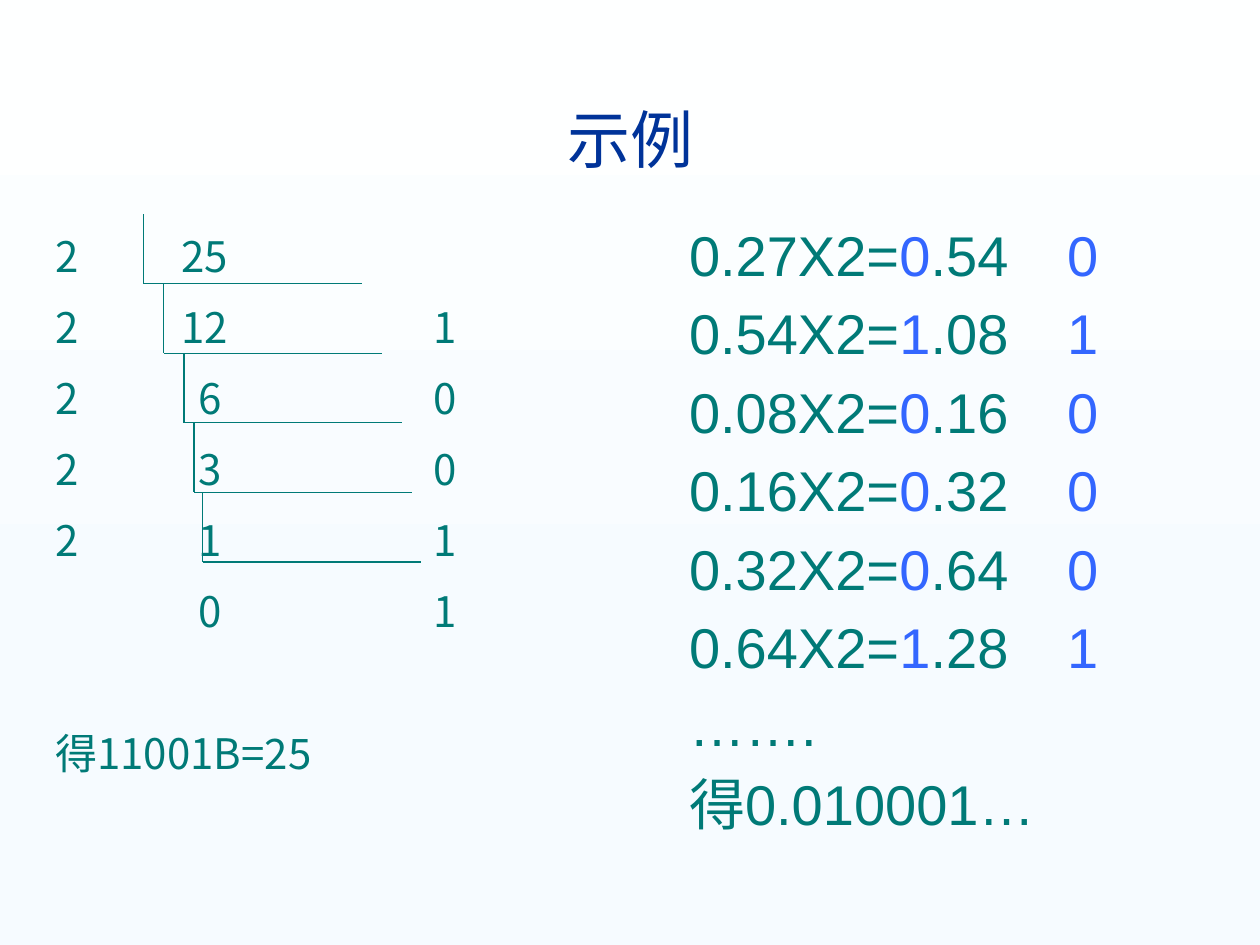
from lxml import etree
from pptx import Presentation
from pptx.dml.color import RGBColor
from pptx.enum import shapes, text
from pptx.oxml import ns
from pptx.util import Inches, Pt

# Content
TITLE = "示例"
DIVISION = [("2", "25"), ("2", "12", "1"), ("2", "6", "0"),
            ("2", "3", "0"), ("2", "1", "1"), ("", "0", "1")]
DIVISION_RESULT = "得11001B=25"
PRODUCTS = [("0.27", "0", ".54"), ("0.54", "1", ".08"), ("0.08", "0", ".16"),
            ("0.16", "0", ".32"), ("0.32", "0", ".64"), ("0.64", "1", ".28")]
PRODUCT_RESULT = ["…….", "得0.010001…"]
BRACKET_LEFTS = [1.14, 1.3, 1.46, 1.54, 1.61]

# Style
CJK, LATIN = "Noto Sans CJK SC", "Arial"
NAVY, TEAL, BLUE = "003399", "007A77", "3366FF"
BACKGROUND = [(0, "FEFFFF"), (74, "F6FBFF"), (83, "F6FBFF"), (100, "F9FDFF")]
BODY_TOP, BODY_WIDTH, BODY_HEIGHT = 1.7, 4.12, 5.12
BRACKET_BOTTOM, BAR_WIDTH = 4.46, 1.73


def color(value):
    return RGBColor.from_string(value)


def set_background(page):
    fill = page.background.fill
    fill.gradient()
    fill.gradient_angle = 270
    stops = page.element.find(".//" + ns.qn("a:gsLst"))
    for old in list(stops):
        stops.remove(old)
    for position, value in BACKGROUND:
        stop = etree.SubElement(stops, ns.qn("a:gs"), pos=str(position * 1000))
        etree.SubElement(stop, ns.qn("a:srgbClr"), val=value)


def add_body(page, left):
    box = page.shapes.add_textbox(Inches(left), Inches(BODY_TOP),
                                  Inches(BODY_WIDTH), Inches(BODY_HEIGHT))
    box.text_frame.word_wrap = True
    return box.text_frame


def add_para(frame, spans, font, size, before=0, spacing=1.0, tabs=()):
    """Add a paragraph of (text, colour) spans, with tab stops in inches."""
    first = frame.paragraphs[0]
    para = frame.add_paragraph() if first.runs else first
    para.line_spacing = spacing
    if para is not first:
        para.space_before = Pt(before)
    if tabs:
        tab_list = etree.SubElement(para._p.get_or_add_pPr(), ns.qn("a:tabLst"))
        for stop in tabs:
            etree.SubElement(tab_list, ns.qn("a:tab"), pos=str(Inches(stop)), algn="l")
    para.font.name, para.font.size = font, Pt(size)
    for words, value in spans:
        span = para.add_run()
        span.text = words
        style(span.font, font, size, value)


def style(font, name, size, value):
    font.name, font.size = name, Pt(size)
    font.color.rgb = color(value)
    etree.SubElement(font._element, ns.qn("a:ea"), typeface=name)


def add_line(page, x1, y1, x2, y2):
    line = page.shapes.add_connector(shapes.MSO_CONNECTOR.STRAIGHT,
                                     *map(Inches, (x1, y1, x2, y2)))
    line.line.color.rgb = color(TEAL)
    line.line.width = Pt(0.75)
    etree.SubElement(line._element.spPr, ns.qn("a:effectLst"))


def main():
    deck = Presentation()
    deck.slide_width, deck.slide_height = Inches(10), Inches(7.5)
    page = deck.slides.add_slide(deck.slide_layouts[5])
    set_background(page)

    # Title
    title = page.shapes.title
    title.left, title.top = Inches(0.33), Inches(0.66)
    title.width, title.height = Inches(9.34), Inches(0.88)
    title.text_frame.vertical_anchor = text.MSO_ANCHOR.MIDDLE
    add_para(title.text_frame, [(TITLE, NAVY)], CJK, 36)
    title.text_frame.paragraphs[0].alignment = text.PP_ALIGN.CENTER

    # Repeated division; single digits sit a little further in
    division = add_body(page, 0.34)
    for row in DIVISION:
        number_tab = 1 if len(row[1]) == 2 else 1.14
        add_para(division, [("\t".join(row), TEAL)], CJK, 24, 6, 1.2, (number_tab, 3))
    add_para(division, [(DIVISION_RESULT, TEAL)], CJK, 24, 46.4, 1.2)

    # Repeated multiplication
    products = add_body(page, 5.37)
    for factor, digit, fraction in PRODUCTS:
        spans = [(factor + "X2=", TEAL), (digit, BLUE), (fraction + "\t", TEAL), (digit, BLUE)]
        add_para(products, spans, LATIN, 32, 6.4, tabs=(3,))
    for words in PRODUCT_RESULT:
        add_para(products, [(words, TEAL)], LATIN, 32, 6.4)

    # Division brackets
    step = (BRACKET_BOTTOM - BODY_TOP) / len(BRACKET_LEFTS)
    for index, left in enumerate(BRACKET_LEFTS):
        top = BODY_TOP + index * step
        bottom = top + step
        add_line(page, left, top, left, bottom)
        add_line(page, left, bottom, left + BAR_WIDTH, bottom)

    deck.save("out.pptx")


if __name__ == "__main__":
    main()
